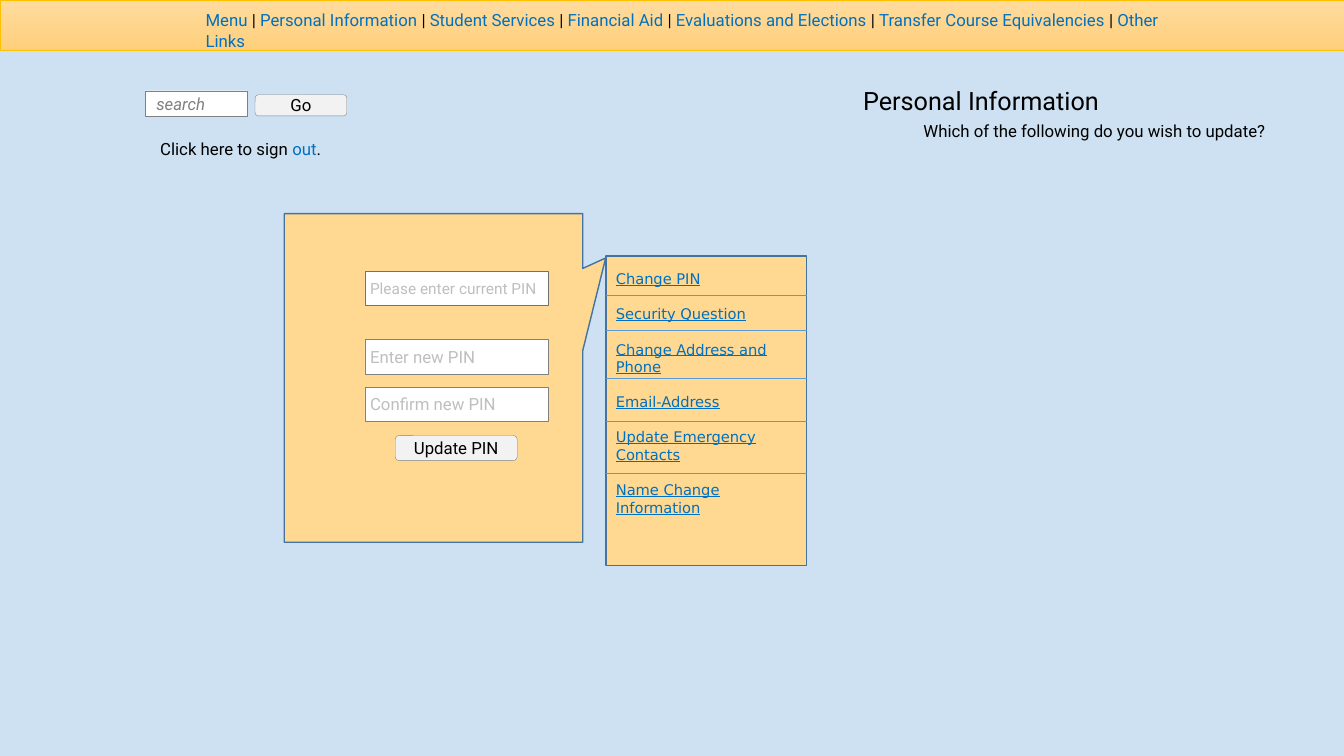
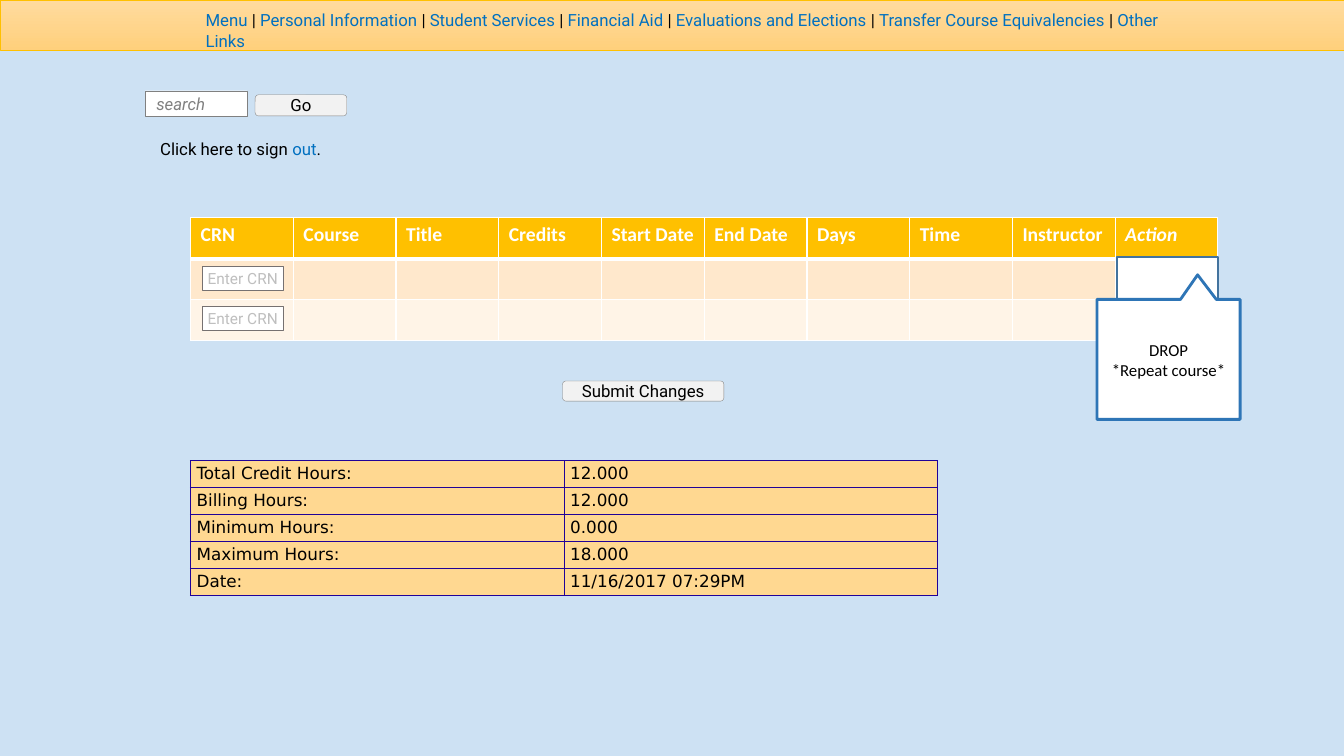
from lxml.etree import SubElement
from pptx import Presentation
from pptx.dml.color import RGBColor
from pptx.enum.shapes import MSO_CONNECTOR, MSO_SHAPE
from pptx.enum.text import MSO_ANCHOR, MSO_AUTO_SIZE, PP_ALIGN
from pptx.oxml.ns import qn
from pptx.util import Inches, Pt

BLACK, WHITE, LINK, GRAY, HINT = "000000", "FFFFFF", "0070C0", "808080", "BFBFBF"
SKY, GOLD, PEACH, BUTTON = "CDE1F3", "FFC000", "FFD891", "F2F2F2"
STEEL, DIVIDER, BLUE, NAVY, FIELD_EDGE = "43739E", "5B9BD5", "2E75B6", "200198", "767171"
ROBOTO, DEJAVU, CALIBRI = "Roboto", "DejaVu Sans", "Calibri"

MENU = ["Menu", "Personal Information", "Student Services", "Financial Aid",
        "Evaluations and Elections", "Transfer Course Equivalencies", "Other Links"]
UPDATES = ["Change PIN", "Security Question", "Change Address and Phone",
           "Email-Address", "Update Emergency Contacts", "Name Change Information"]
DIVIDER_OFFSETS = [0.39, 0.74, 1.21, 1.64, 2.16]
COURSE_HEADINGS = ["CRN", "Course", "Title", "Credits", "Start Date", "End Date",
                   "Days", "Time", "Instructor", "Action"]
HOURS = [("Total Credit Hours:", "12.000"), ("Billing Hours:", "12.000"),
         ("Minimum Hours:", "0.000"), ("Maximum Hours:", "18.000"),
         ("Date:", "11/16/2017 07:29PM")]


def color(hex_value):
    """Return the colour for a hex string."""
    return RGBColor.from_string(hex_value)


def inches(box):
    """Convert a box of numbers to lengths."""
    return [Inches(length) for length in box]


def style_runs(frame, size, font=ROBOTO, ink=BLACK, align=PP_ALIGN.LEFT):
    """Format every run in a text frame alike."""
    for paragraph in frame.paragraphs:
        paragraph.alignment = align
        for run in paragraph.runs:
            run.font.size, run.font.name = Pt(size), font
            run.font.color.rgb = color(ink)


def set_frame(frame, insets, anchor=MSO_ANCHOR.MIDDLE):
    """Set wrapping, insets and anchoring of a text frame."""
    frame.word_wrap = True
    frame.auto_size = MSO_AUTO_SIZE.NONE
    frame.vertical_anchor = anchor
    (frame.margin_left, frame.margin_top,
     frame.margin_right, frame.margin_bottom) = inches(insets)


def add_panel(slide, box, fill, edge, width, preset=MSO_SHAPE.RECTANGLE):
    """Add a plain outlined shape."""
    panel = slide.shapes.add_shape(preset, *inches(box))
    panel.shadow.inherit = False
    panel.fill.solid()
    panel.fill.fore_color.rgb = color(fill)
    panel.line.color.rgb = color(edge)
    panel.line.width = Pt(width)
    return panel


def add_field(slide, box, hint, size=12, edge=GRAY, ink=HINT, inset=0.05):
    """Add an input field with its hint."""
    field = add_panel(slide, box, WHITE, edge, 0.25)
    set_frame(field.text_frame, (inset, 0.02, 0, 0.02))
    field.text_frame.text = hint
    style_runs(field.text_frame, size, ink=ink)
    return field


def add_button(slide, box, label):
    """Add a rounded button with its label."""
    button = add_panel(slide, box, BUTTON, GRAY, 0.25, MSO_SHAPE.ROUNDED_RECTANGLE)
    set_frame(button.text_frame, (0.1, 0, 0.1, 0.01))
    button.text_frame.text = label
    style_runs(button.text_frame, 12, align=PP_ALIGN.CENTER)


def add_callout(slide, box, tip, fill, edge, width):
    """Add a callout whose tip is given relative to its size."""
    callout = add_panel(slide, box, fill, edge, width, MSO_SHAPE.RECTANGULAR_CALLOUT)
    callout.adjustments[0], callout.adjustments[1] = tip
    return callout


def add_text(slide, box, pieces, bottom=0.03):
    """Add a line of text made of (words, colour) pieces."""
    frame = slide.shapes.add_textbox(*inches(box)).text_frame
    set_frame(frame, (0.1, 0.02, 0.1, bottom))
    for words, ink in pieces:
        run = frame.paragraphs[0].add_run()
        run.text = words
        run.font.size, run.font.name = Pt(12), ROBOTO
        run.font.color.rgb = color(ink)


def add_menu_band(slide, box):
    """Draw the menu band across the top."""
    left, top, width, height = box
    band = add_panel(slide, box, PEACH, GOLD, 0.5)
    band.fill.gradient()
    band.fill.gradient_angle = 270
    for stop, position, shade in zip(band.fill.gradient_stops, (0, 1), ("FFDB9E", "FFD07C")):
        stop.position = position
        stop.color.rgb = color(shade)
    pieces = [(MENU[0], LINK)]
    for entry in MENU[1:]:
        pieces += [(" | ", BLACK), (entry, LINK)]
    add_text(slide, (left + 1.94, top + 0.18, 9.9, 0.27), pieces, 0.05)


def add_search_area(slide, left, top):
    """Draw the search field, its button and the sign-out line."""
    search = add_field(slide, (left, top, 1.01, 0.25), "search", ink=GRAY, inset=0.11)
    search.text_frame.paragraphs[0].runs[0].font.italic = True
    add_button(slide, (left + 1.09, top + 0.04, 0.91, 0.21), "Go")
    add_text(slide, (left + 0.05, top + 0.46, 1.85, 0.25),
             [("Click here to sign ", BLACK), ("out", LINK), (".", BLACK)])


def add_page(deck, layout_index):
    """Add a slide with the parts shared by every page."""
    slide = deck.slides.add_slide(deck.slide_layouts[layout_index])
    add_menu_band(slide, (0, 0, 13.33, 0.5))
    add_search_area(slide, 1.44, 0.9)
    return slide


def add_heading(slide, left, top):
    """Place the title and the question below it."""
    title = slide.shapes.title
    title.left, title.top, title.width, title.height = inches((left, top, 3.69, 0.35))
    set_frame(title.text_frame, (0.1, 0.02, 0.1, 0.03))
    title.text_frame.text = "Personal Information"
    style_runs(title.text_frame, 18)
    add_text(slide, (left + 0.6, top + 0.35, 3.81, 0.25),
             [("Which of the following do you wish to update?", BLACK)])


def add_update_list(slide, box):
    """Draw the list of update links with its dividers."""
    left, top, width, height = box
    frame = add_panel(slide, box, PEACH, STEEL, 1).text_frame
    set_frame(frame, (0.1, 0.14, 0.1, 0.05), MSO_ANCHOR.TOP)
    frame.text = "\n".join(UPDATES)
    style_runs(frame, 10.5, DEJAVU, LINK)
    for paragraph in frame.paragraphs:
        paragraph.space_after = Pt(12.5)
        paragraph.runs[0].font.underline = True
    for offset in DIVIDER_OFFSETS:
        divider = slide.shapes.add_connector(
            MSO_CONNECTOR.STRAIGHT,
            *inches((left, top + offset, left + width, top + offset)))
        divider.line.color.rgb = color(DIVIDER)
        divider.line.width = Pt(0.5)
        SubElement(divider.line._get_or_add_ln().getparent(), qn("a:effectLst"))


def add_pin_form(slide, box):
    """Draw the callout holding the PIN form."""
    left, top, width, height = box
    add_callout(slide, box, (0.577, -0.365), PEACH, STEEL, 1)
    for offset, hint, size, edge in [(0.57, "Please enter current PIN", 11, FIELD_EDGE),
                                     (1.25, "Enter new PIN", 12, GRAY),
                                     (1.72, "Confirm new PIN", 12, GRAY)]:
        add_field(slide, (left + 0.8, top + offset, 1.82, 0.34), hint, size, edge)
    add_button(slide, (left + 1.1, top + 2.2, 1.21, 0.25), "Update PIN")


def style_cell(cell, fill, edge, bottom_width=1):
    """Give a cell its borders and fill."""
    properties = cell._tc.get_or_add_tcPr()
    for side, width in [("L", 1), ("R", 1), ("T", 1), ("B", bottom_width)]:
        border = SubElement(properties, qn(f"a:ln{side}"), w=str(Pt(width)))
        paint = SubElement(border, qn("a:solidFill"))
        SubElement(paint, qn("a:srgbClr"), val=edge)
    cell.fill.solid()
    cell.fill.fore_color.rgb = color(fill)


def add_grid(slide, box, row_count, column_count):
    """Add a table of equal rows and columns."""
    grid = slide.shapes.add_table(row_count, column_count, *inches(box)).table
    for column in grid.columns:
        column.width = Inches(box[2] / column_count)
    for row in grid.rows:
        row.height = Inches(box[3] / row_count)
    return grid


def add_course_table(slide, box):
    """Draw the course table and its entry fields."""
    left, top, width, height = box
    courses = add_grid(slide, box, 3, len(COURSE_HEADINGS))
    for column, heading in enumerate(COURSE_HEADINGS):
        header = courses.cell(0, column)
        style_cell(header, GOLD, WHITE, 3)
        header.margin_right = Inches(0.05)
        header.text_frame.text = heading
        style_runs(header.text_frame, 14, CALIBRI, WHITE)
        font = header.text_frame.paragraphs[0].runs[0].font
        font.bold, font.italic = True, heading == "Action"
        for row, fill in [(1, "FFE8CC"), (2, "FFF4E7")]:
            style_cell(courses.cell(row, column), fill, WHITE)
    for row in (1, 2):
        add_field(slide, (left + 0.12, top + 0.08 + row * 0.4, 0.8, 0.24),
                  "Enter CRN", 11, FIELD_EDGE)


def add_action_menu(slide, left, top):
    """Draw the action cell and its callout of choices."""
    add_panel(slide, (left + 0.2, top, 1, 0.43), WHITE, STEEL, 1,
              MSO_SHAPE.ACTION_BUTTON_CUSTOM)
    choices = add_callout(slide, (left, top + 0.42, 1.42, 1.19),
                          (0.203, -0.705), WHITE, BLUE, 2).text_frame
    set_frame(choices, (0.1, 0.05, 0.1, 0.05))
    choices.text = "DROP\n*Repeat course*"
    style_runs(choices, 12, CALIBRI, align=PP_ALIGN.CENTER)


def add_hours_table(slide, box):
    """Draw the summary of hours."""
    summary = add_grid(slide, box, len(HOURS), 2)
    for row, entries in enumerate(HOURS):
        for column, entry in enumerate(entries):
            cell = summary.cell(row, column)
            style_cell(cell, PEACH, NAVY)
            cell.margin_left = cell.margin_right = Inches(0.06)
            cell.margin_top = cell.margin_bottom = Inches(0.03)
            cell.text_frame.text = entry
            style_runs(cell.text_frame, 12, DEJAVU)


def build_personal_page(deck):
    """Build the personal information page."""
    slide = add_page(deck, 5)
    add_heading(slide, 8.46, 0.83)
    add_update_list(slide, (6.01, 2.54, 1.99, 3.07))
    add_pin_form(slide, (2.82, 2.12, 2.96, 3.26))


def build_course_page(deck):
    """Build the course changes page."""
    slide = add_page(deck, 6)
    add_course_table(slide, (1.89, 2.16, 10.19, 1.22))
    add_button(slide, (5.58, 3.78, 1.6, 0.2), "Submit Changes")
    add_action_menu(slide, 10.88, 2.55)
    add_hours_table(slide, (1.89, 4.57, 7.41, 1.34))


def main():
    """Build and save the presentation."""
    deck = Presentation()
    deck.slide_width, deck.slide_height = Inches(13.33), Inches(7.5)
    backdrop = deck.slide_master.background.fill
    backdrop.solid()
    backdrop.fore_color.rgb = color(SKY)
    build_personal_page(deck)
    build_course_page(deck)
    deck.save("out.pptx")


main()
